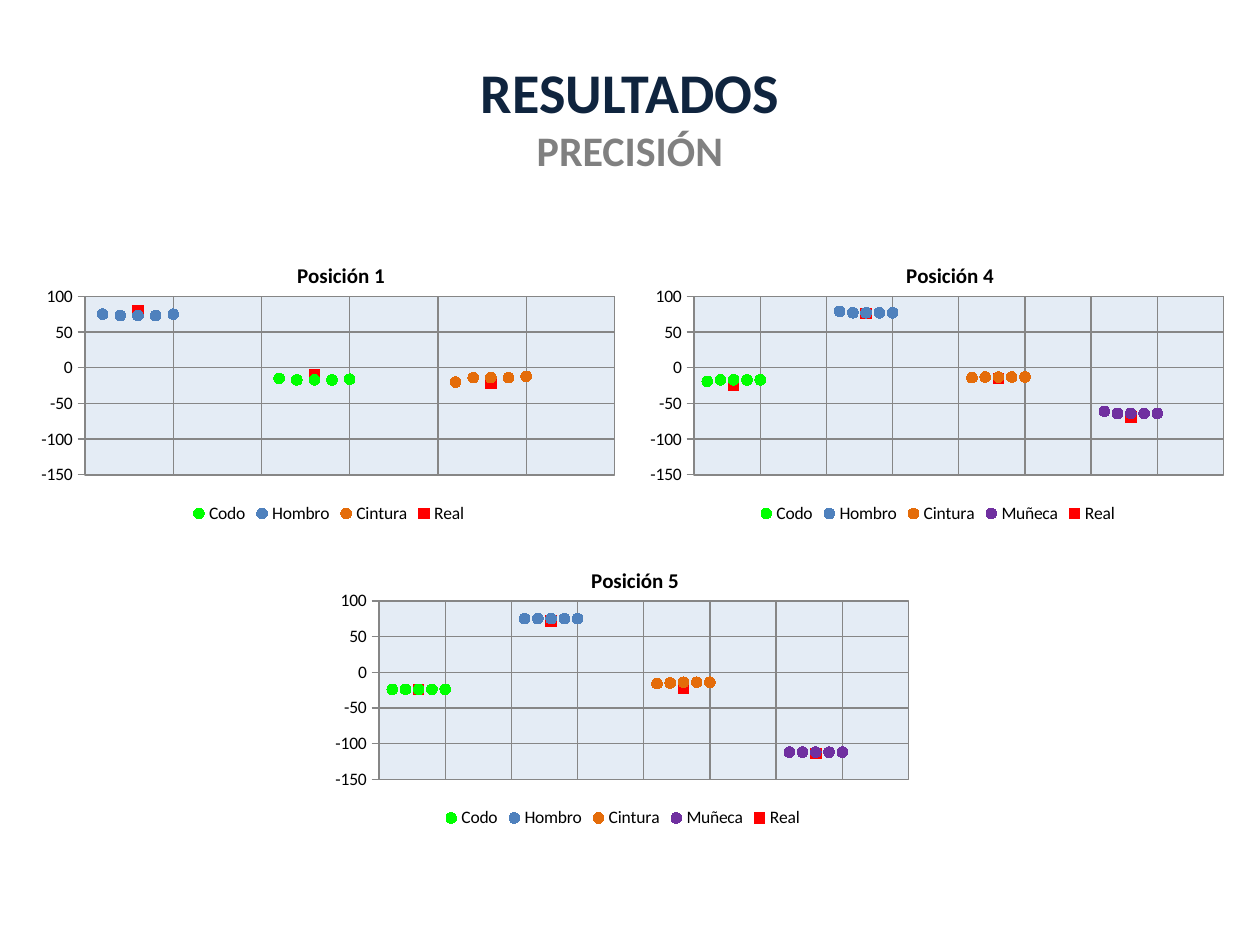
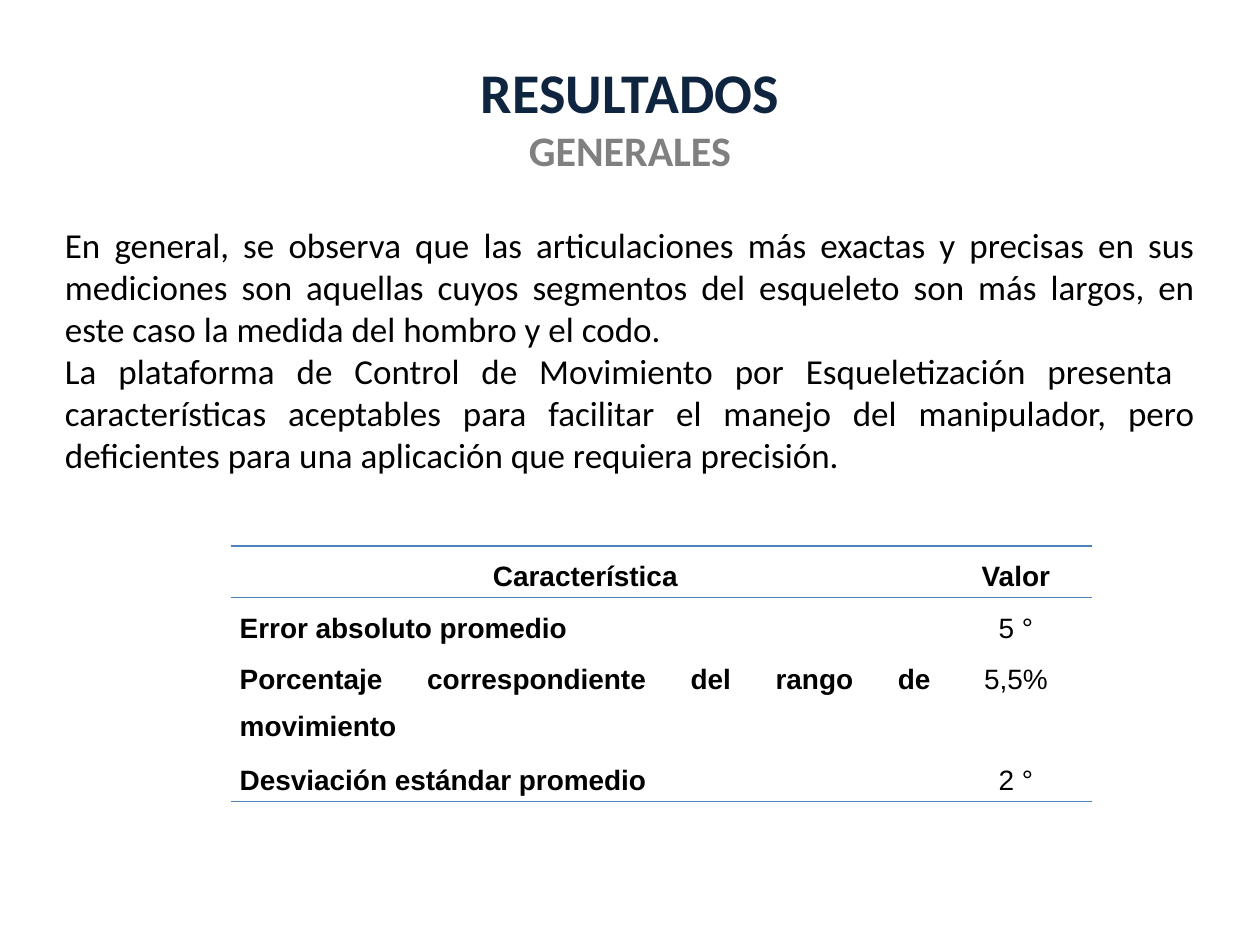
import pptx
import pptx.chart.data
import pptx.dml.color
import pptx.enum.chart
import pptx.enum.text
import pptx.oxml
import pptx.oxml.ns
import pptx.util

Pt = pptx.util.Pt
qn = pptx.oxml.ns.qn
ALIGN = pptx.enum.text.PP_ALIGN

# Shared look
FONT = "Calibri"
TABLE_FONT = "Arial"
NAVY, GRAY, BLACK = "0F243E", "808080", "000000"
GRID, PLOT_FILL, RULE = "868686", "DCE6F2", "4F81BD"
TITLE_BOX = (36, 21.6, 648, 90)
NO_GRID_STYLE = "{2D5ABB26-0587-4C30-8999-92F81FD0307C}"
SERIES_COLORS = {
    "Codo": "00FF00",
    "Hombro": "4F81BD",
    "Cintura": "E46C0A",
    "Muñeca": "7030A0",
    "Real": "FF0000",
}

# Each series: first x, step in x, measured angles
CHART_SIZE = (340, 170)
CHARTS = [
    ("Posición 1", (18, 132), 30, {
        "Codo": (11, 1, [-15, -17, -17, -17, -16]),
        "Hombro": (1, 1, [75, 73, 73, 73, 75]),
        "Cintura": (21, 1, [-20, -14, -14, -14, -12]),
        "Real": (3, 10, [80, -10, -22]),
    }),
    ("Posición 4", (366, 132), 40, {
        "Codo": (1, 1, [-19, -17, -17, -17, -17]),
        "Hombro": (11, 1, [79, 77, 77, 77, 77]),
        "Cintura": (21, 1, [-14, -13, -13, -13, -13]),
        "Muñeca": (31, 1, [-61, -64, -64, -64, -64]),
        "Real": (3, 10, [-24, 76, -15, -69]),
    }),
    ("Posición 5", (186, 306), 40, {
        "Codo": (1, 1, [-24] * 5),
        "Hombro": (11, 1, [75] * 5),
        "Cintura": (21, 1, [-16, -15, -14, -14, -14]),
        "Muñeca": (31, 1, [-112] * 5),
        "Real": (3, 10, [-24, 72, -22, -114]),
    }),
]

CONCLUSIONS = [
    "En general, se observa que las articulaciones más exactas y precisas en sus "
    "mediciones son aquellas cuyos segmentos del esqueleto son más largos, en este "
    "caso la medida del hombro y el codo.",
    "La plataforma de Control de Movimiento por Esqueletización presenta  "
    "características aceptables para facilitar el manejo del manipulador, pero "
    "deficientes para una aplicación que requiera precisión.",
]
SUMMARY = [
    ("Característica", "Valor"),
    ("Error absoluto promedio", "5 °"),
    ("Porcentaje correspondiente del rango de movimiento", "5,5%"),
    ("Desviación estándar promedio", "2 °"),
]


def rgb(value):
    return pptx.dml.color.RGBColor.from_string(value)


def style_font(font, size, color=BLACK, bold=False, name=FONT):
    font.name, font.size, font.bold = name, Pt(size), bold
    font.color.rgb = rgb(color)


def add_text_box(slide, box):
    text_frame = slide.shapes.add_textbox(*map(Pt, box)).text_frame
    text_frame.word_wrap = True
    text_frame.vertical_anchor = pptx.enum.text.MSO_ANCHOR.MIDDLE
    return text_frame


def add_title(slide, box, subtitle):
    paragraph = add_text_box(slide, box).paragraphs[0]
    paragraph.text = "RESULTADOS\v" + subtitle
    paragraph.alignment = ALIGN.CENTER
    heading, subheading = paragraph.runs
    style_font(heading.font, 32, NAVY, True)
    style_font(subheading.font, 24, GRAY, True)


def set_layout(element, index, target="", **fractions):
    """Place a chart part at fractions of the chart area."""
    existing = element.find(qn("c:layout"))
    if existing is not None:
        element.remove(existing)
    parts = [f'<c:layoutTarget val="{target}"/>'] if target else []
    parts += [f'<c:{axis}Mode val="edge"/>' for axis in "xy"]
    parts += [f'<c:{key} val="{value}"/>' for key, value in fractions.items()]
    element.insert(index, pptx.oxml.parse_xml(
        f'<c:layout {pptx.oxml.ns.nsdecls("c")}><c:manualLayout>'
        f'{"".join(parts)}</c:manualLayout></c:layout>'))


def style_plot_area(plot_area):
    set_layout(plot_area, 0, "inner", x=0.09, y=0.22, w=0.89, h=0.6)
    plot_area.append(pptx.oxml.parse_xml(
        f'<c:spPr {pptx.oxml.ns.nsdecls("c", "a")}><a:solidFill>'
        f'<a:srgbClr val="{PLOT_FILL}"><a:alpha val="75000"/></a:srgbClr></a:solidFill>'
        f'<a:ln w="9525"><a:solidFill><a:srgbClr val="{GRID}"/></a:solidFill></a:ln>'
        '</c:spPr>'))


def style_axis(axis, minimum, maximum, step):
    axis.minimum_scale, axis.maximum_scale, axis.major_unit = minimum, maximum, step
    axis.has_major_gridlines = True
    axis.major_tick_mark = pptx.enum.chart.XL_TICK_MARK.OUTSIDE
    axis.minor_tick_mark = pptx.enum.chart.XL_TICK_MARK.NONE
    for line in (axis.major_gridlines.format.line, axis.format.line):
        line.color.rgb = rgb(GRID)
        line.width = Pt(0.75)


def add_position_chart(slide, box, title, x_maximum, measurements):
    chart_data = pptx.chart.data.XyChartData()
    for name, (start, step, angles) in measurements.items():
        series = chart_data.add_series(name)
        for index, angle in enumerate(angles):
            series.add_data_point(start + index * step, angle)
    chart = slide.shapes.add_chart(
        pptx.enum.chart.XL_CHART_TYPE.XY_SCATTER, *map(Pt, box), chart_data).chart
    style_font(chart.font, 10)
    chart.plots[0].vary_by_categories = False

    # Title and legend
    chart.has_title = True
    chart.chart_title.text_frame.text = title
    style_font(chart.chart_title.text_frame.paragraphs[0].runs[0].font, 12, bold=True)
    title_element = chart.chart_title._element
    set_layout(title_element, 1, x=0.44, y=0.09)
    title_element.find(qn("c:overlay")).set("val", "1")
    chart.has_legend = True
    chart.legend.position = pptx.enum.chart.XL_LEGEND_POSITION.BOTTOM
    chart.legend.include_in_layout = False

    # Axes and plot area
    style_axis(chart.category_axis, 0, x_maximum, 5)
    style_axis(chart.value_axis, -150, 100, 50)
    chart.category_axis.visible = False
    style_plot_area(chart._chartSpace.chart.plotArea)

    # Markers without joining lines
    for series in chart.plots[0].series:
        color = rgb(SERIES_COLORS[series.name])
        series.smooth = False
        series.format.line.fill.background()
        marker_style = pptx.enum.chart.XL_MARKER_STYLE
        series.marker.style = (
            marker_style.SQUARE if series.name == "Real" else marker_style.CIRCLE)
        series.marker.size = 6
        series.marker.format.fill.solid()
        series.marker.format.fill.fore_color.rgb = color
        series.marker.format.line.color.rgb = color


def add_conclusions(slide, box):
    text_frame = add_text_box(slide, box)
    text_frame.text = "\n".join(CONCLUSIONS)
    for paragraph in text_frame.paragraphs:
        paragraph.alignment = ALIGN.JUSTIFY
        style_font(paragraph.runs[0].font, 20)


def add_borders(cell, sides):
    properties = cell._tc.get_or_add_tcPr()
    for index, side in enumerate(sides):
        properties.insert(index, pptx.oxml.parse_xml(
            f'<a:ln{side} {pptx.oxml.ns.nsdecls("a")} w="12700"><a:solidFill>'
            f'<a:srgbClr val="{RULE}"/></a:solidFill></a:ln{side}>'))


def add_summary_table(slide, box):
    shape = slide.shapes.add_table(len(SUMMARY), 2, *map(Pt, box))
    table = shape.table
    table.first_row = table.horz_banding = False
    table._tbl.tblPr.find(qn("a:tableStyleId")).text = NO_GRID_STYLE
    value_width = 87
    table.columns[0].width = Pt(box[2] - value_width)
    table.columns[1].width = Pt(value_width)
    borders = {0: "TB", len(SUMMARY) - 1: "B"}
    for row_index, texts in enumerate(SUMMARY):
        table.rows[row_index].height = Pt(37.5 if row_index == 2 else 29.5)
        for column_index, text in enumerate(texts):
            cell = table.cell(row_index, column_index)
            cell.fill.background()
            cell.margin_left = cell.margin_right = Pt(5)
            cell.margin_top = cell.margin_bottom = 0
            cell.text_frame.text = text
            paragraph = cell.text_frame.paragraphs[0]
            is_label = row_index > 0 and column_index == 0
            paragraph.alignment = ALIGN.JUSTIFY if is_label else ALIGN.CENTER
            paragraph.line_spacing = 1.5
            is_bold = row_index == 0 or column_index == 0
            style_font(paragraph.runs[0].font, 16, bold=is_bold, name=TABLE_FONT)
            add_borders(cell, borders.get(row_index, ""))


def add_precision_slide(slide):
    add_title(slide, TITLE_BOX, "PRECISIÓN")
    for title, position, x_maximum, measurements in CHARTS:
        add_position_chart(slide, position + CHART_SIZE, title, x_maximum, measurements)


def add_general_slide(slide):
    add_title(slide, TITLE_BOX, "GENERALES")
    add_summary_table(slide, (132, 312, 492, 126))
    add_conclusions(slide, (30, 123, 660, 153))


def main():
    presentation = pptx.Presentation()
    presentation.slide_width, presentation.slide_height = Pt(720), Pt(540)
    for build in (add_precision_slide, add_general_slide):
        build(presentation.slides.add_slide(presentation.slide_layouts[6]))
    presentation.save("out.pptx")


if __name__ == "__main__":
    main()
